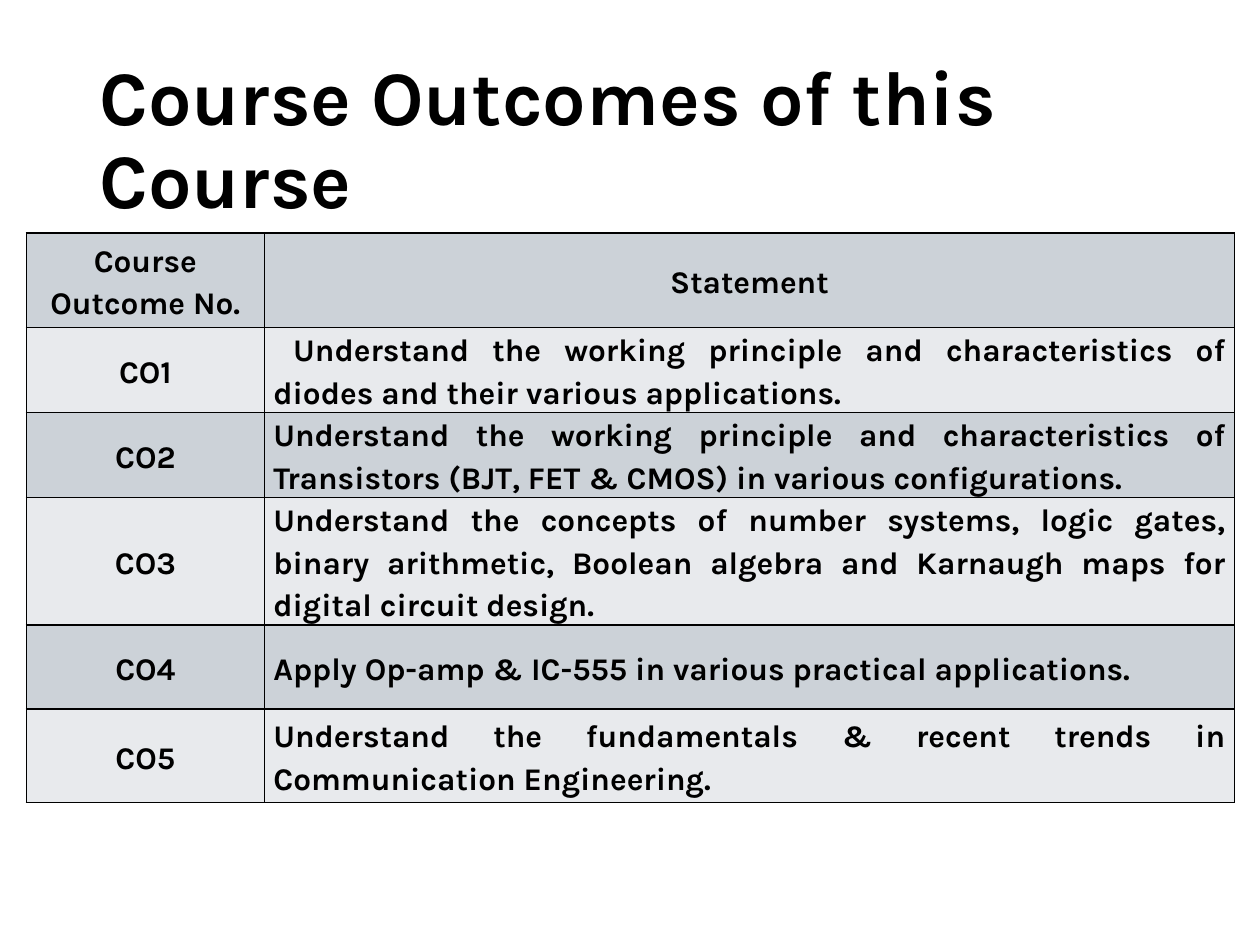
import pptx
import pptx.dml.color
import pptx.enum.text
import pptx.oxml
import pptx.oxml.ns
import pptx.util
from dataclasses import dataclass

Cm, Pt = pptx.util.Cm, pptx.util.Pt
RGB = pptx.dml.color.RGBColor.from_string
ALIGN = pptx.enum.text.PP_ALIGN
MIDDLE = pptx.enum.text.MSO_ANCHOR.MIDDLE


@dataclass(frozen=True)
class Theme:
    font: str = "Karla"
    ink: str = "000000"
    dark_band: str = "CCD2D8"
    light_band: str = "E8EAED"
    title_size: float = 44
    table_size: float = 18
    border: float = 1


theme = Theme()


def write(frame, text, size, align, line_spacing, after=0, indent=0):
    paragraph = frame.paragraphs[0]
    paragraph.alignment = align
    paragraph.line_spacing = line_spacing
    paragraph.space_before = Pt(0)
    paragraph.space_after = Pt(after)
    if indent:
        paragraph._p.get_or_add_pPr().set("indent", str(Cm(indent)))
    run = paragraph.add_run()
    run.text = text
    run.font.name = theme.font
    run.font.size = Pt(size)
    run.font.bold = True
    run.font.color.rgb = RGB(theme.ink)


def style_cell(cell, fill):
    cell.vertical_anchor = MIDDLE
    cell.margin_left = cell.margin_right = Cm(0.18)
    cell.margin_top = cell.margin_bottom = 0
    properties = cell._tc.get_or_add_tcPr()
    for side in ("lnL", "lnR", "lnT", "lnB"):
        properties.append(pptx.oxml.parse_xml(
            f'<a:{side} {pptx.oxml.ns.nsdecls("a")} w="{Pt(theme.border)}">'
            f'<a:solidFill><a:srgbClr val="{theme.ink}"/></a:solidFill></a:{side}>'))
    cell.fill.solid()
    cell.fill.fore_color.rgb = RGB(fill)


deck = pptx.Presentation()
deck.slide_width, deck.slide_height = Cm(25.4), Cm(19.05)
slide = deck.slides.add_slide(deck.slide_layouts[5])

# Title
title = slide.shapes.title
title.left, title.top, title.width, title.height = Cm(1.75), Cm(1.02), Cm(23.11), Cm(3.68)
title.text_frame.word_wrap = True
title.text_frame.auto_size = pptx.enum.text.MSO_AUTO_SIZE.NONE
title.text_frame.vertical_anchor = MIDDLE
write(title.text_frame, "Course Outcomes of this Course", size=theme.title_size,
      align=ALIGN.LEFT, line_spacing=0.9)

# Course outcomes: number, statement, row height in cm
outcomes = [
    ("Course Outcome No.", "Statement", 1.9),
    ("CO1", "Understand the working principle and characteristics of diodes "
            "and their various applications.", 1.7),
    ("CO2", "Understand the working principle and characteristics of Transistors "
            "(BJT, FET & CMOS) in various configurations.", 1.7),
    ("CO3", "Understand the concepts of number systems, logic gates, binary arithmetic, "
            "Boolean algebra and Karnaugh maps for digital circuit design.", 2.57),
    ("CO4", "Apply Op-amp & IC-555 in various practical applications.", 1.7),
    ("CO5", "Understand the fundamentals & recent trends in Communication Engineering.", 1.88),
]
column_widths = (4.8, 19.56)

# Table
outcome_table = slide.shapes.add_table(
    len(outcomes), len(column_widths), Cm(0.53), Cm(4.7),
    Cm(sum(column_widths)), Cm(sum(height for *_, height in outcomes))).table
for column, width in zip(outcome_table.columns, column_widths):
    column.width = Cm(width)

for row, (number, statement, height) in enumerate(outcomes):
    outcome_table.rows[row].height = Cm(height)
    band = theme.light_band if row % 2 else theme.dark_band
    for column, text in enumerate((number, statement)):
        cell = outcome_table.cell(row, column)
        style_cell(cell, band)
        is_statement = row > 0 and column == 1
        write(cell.text_frame, text, size=theme.table_size,
              align=ALIGN.JUSTIFY if is_statement else ALIGN.CENTER,
              line_spacing=1.15, after=10,
              indent=0.4 if is_statement and number == "CO1" else 0)

deck.save("out.pptx")
